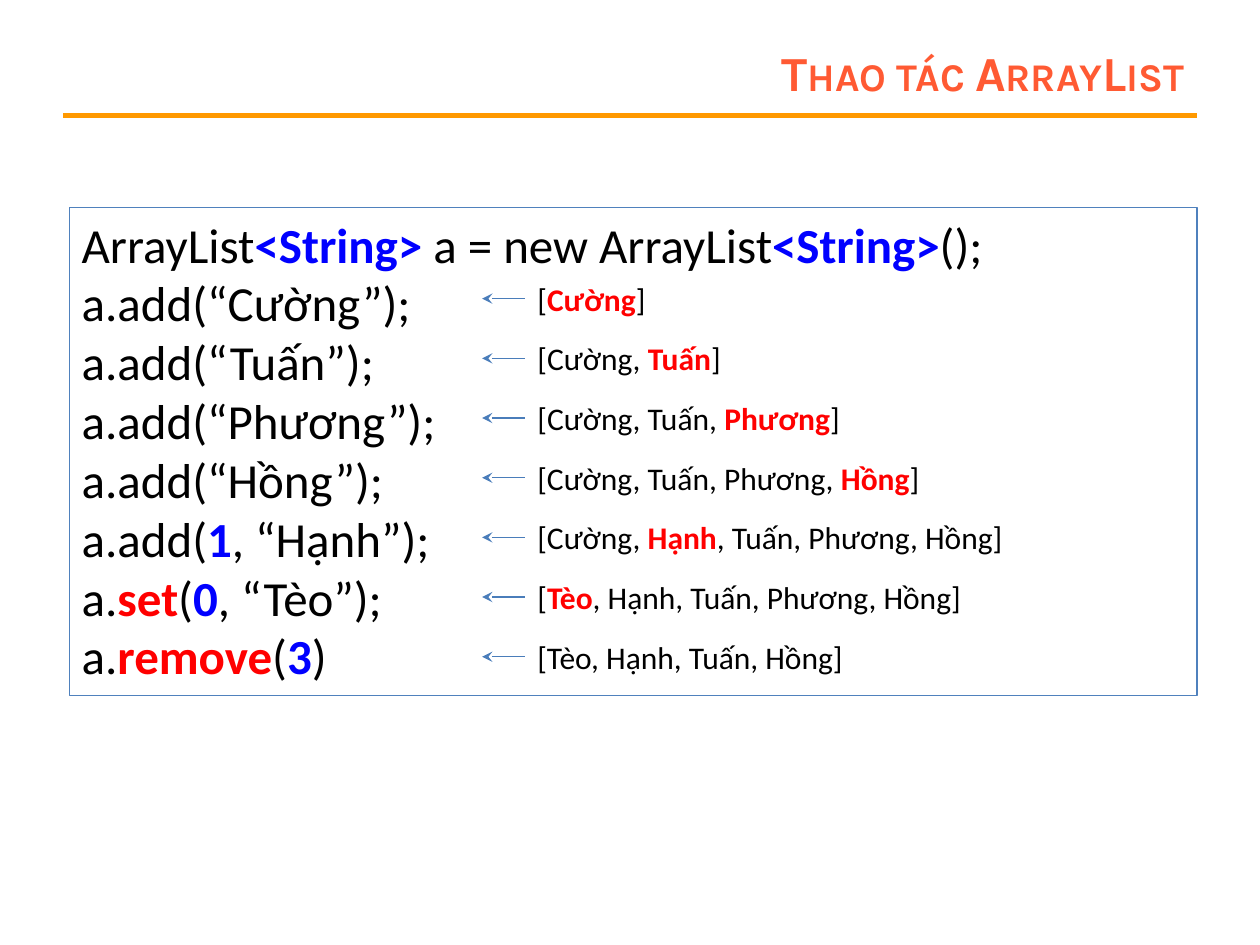
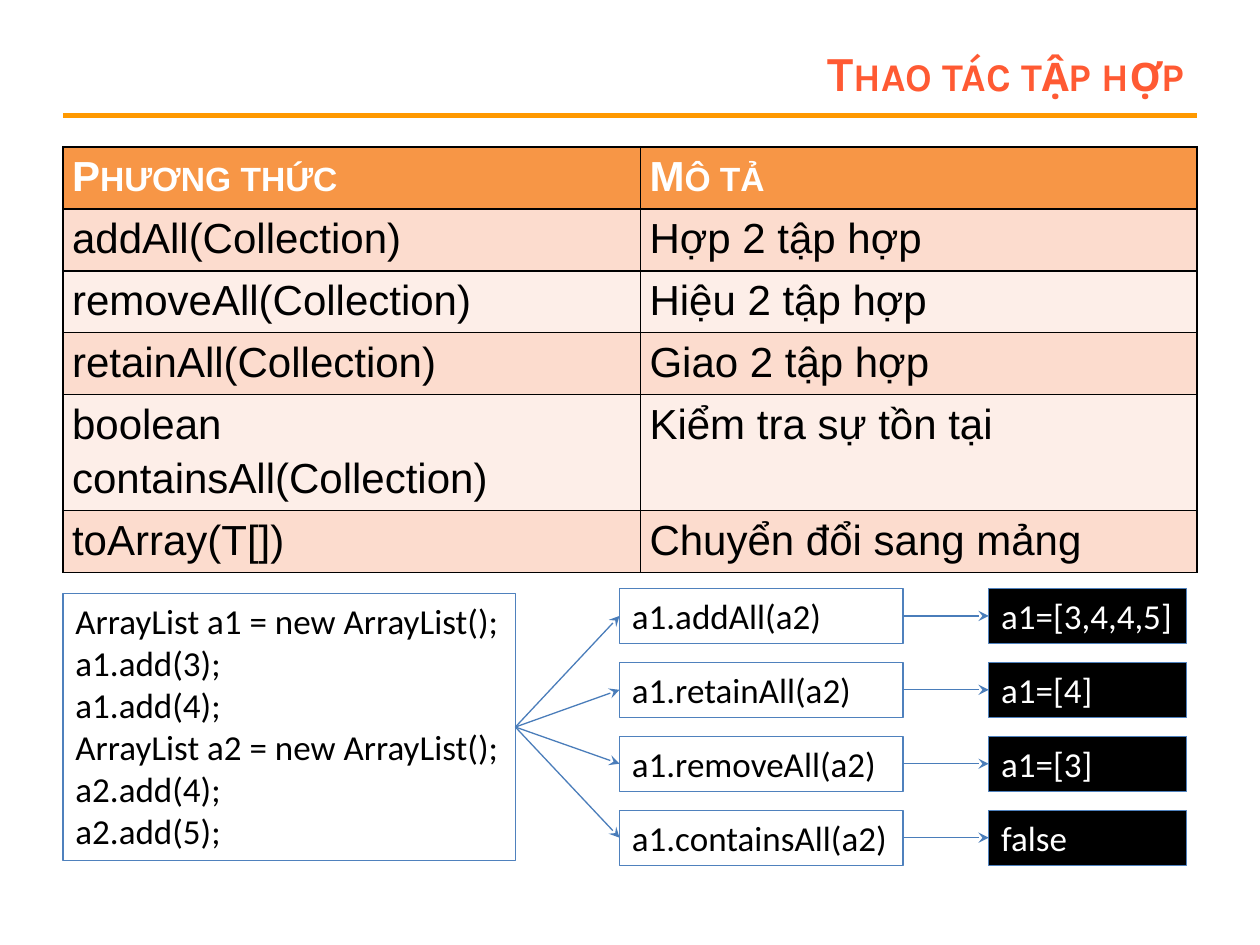
from lxml import etree
from pptx import Presentation
from pptx.dml.color import RGBColor
from pptx.enum.shapes import MSO_CONNECTOR as Wire, MSO_SHAPE as Form
from pptx.enum.text import MSO_ANCHOR as Anchor, PP_ALIGN as Align
from pptx.oxml.ns import qn
from pptx.util import Pt

hue = RGBColor.from_string
BLACK, WHITE, RED, BLUE = "000000", "FFFFFF", "FF0000", "0000FF"
EDGE, ARROW = "4F81BD", "4A7DBA"
TITLE, RULE = "FF5A33", "FF9900"
HEAD, BANDS = "F79646", ("FDEEE8", "FCDCCE")
LEFT, RIGHT = 36, 684


def write(frame, lines, size, ink=BLACK, font="Calibri", caps=False):
    """Each line is a list of pieces: plain text, or (text, colour) in bold."""
    for i, line in enumerate(lines):
        para = frame.paragraphs[0] if i == 0 else frame.add_paragraph()
        para.alignment = Align.LEFT
        for piece in line:
            plain = isinstance(piece, str)
            text, tint = (piece, ink) if plain else piece
            run = para.add_run()
            run.text = text
            run.font.size, run.font.name = Pt(size), font
            run.font.bold = caps or not plain
            run.font.color.rgb = hue(tint)
            if caps:
                run.font._element.set("cap", "small")


def box(page, x, y, w, h, lines, size, ink=BLACK, fill=None):
    """Add a thinly outlined rectangle with text at its top left."""
    rect = page.shapes.add_shape(Form.RECTANGLE, Pt(x), Pt(y), Pt(w), Pt(h))
    rect.shadow.inherit = False
    if fill:
        rect.fill.solid()
        rect.fill.fore_color.rgb = hue(fill)
    else:
        rect.fill.background()
    rect.line.color.rgb, rect.line.width = hue(EDGE), Pt(0.75)
    rect.text_frame.word_wrap = True
    rect.text_frame.vertical_anchor = Anchor.TOP
    write(rect.text_frame, lines, size, ink)
    return rect


deck = Presentation()
deck.slide_width, deck.slide_height = Pt(720), Pt(540)

# Shared title and rule
pages = []
for name in ("Thao tác ArrayList", "Thao tác tập hợp"):
    page = deck.slides.add_slide(deck.slide_layouts[6])
    rule = page.shapes.add_connector(
        Wire.STRAIGHT, Pt(LEFT), Pt(66), Pt(RIGHT), Pt(66))
    rule.line.color.rgb, rule.line.width = hue(RULE), Pt(3)
    title = page.shapes.add_textbox(Pt(162), Pt(21.6), Pt(522), Pt(38.4))
    title.text_frame.word_wrap = True
    title.text_frame.vertical_anchor = Anchor.MIDDLE
    write(title.text_frame, [[name]], 28, TITLE, "Karla", True)
    title.text_frame.paragraphs[0].alignment = Align.RIGHT
    pages.append(page)
first, second = pages
joins = []  # (page, start shape, start side, goal shape or None)

# Slide 1: code with the list after each step
code = [
    ["ArrayList", ("<String> ", BLUE), "a = new ArrayList",
     ("<String>", BLUE), "();"],
    ["a.add(“Cường”);"],
    ["a.add(“Tuấn”);"],
    ["a.add(“Phương”);"],
    ["a.add(“Hồng”);"],
    ["a.add(", ("1", BLUE), ", “Hạnh”);"],
    ["a.", ("set", RED), "(", ("0", BLUE), ", “Tèo”);"],
    ["a.", ("remove", RED), "(", ("3", BLUE), ")"],
]
box(first, 39.6, 118.8, 644.4, 278.7, code, 28)

states = [
    (77, ["[", ("Cường", RED), "]"]),
    (120, ["[Cường, ", ("Tuấn", RED), "]"]),
    (190, ["[Cường, Tuấn, ", ("Phương", RED), "]"]),
    (235, ["[Cường, Tuấn, Phương, ", ("Hồng", RED), "]"]),
    (283, ["[Cường, ", ("Hạnh", RED), ", Tuấn, Phương, Hồng]"]),
    (259, ["[", ("Tèo", RED), ", Hạnh, Tuấn, Phương, Hồng]"]),
    (196, ["[Tèo, Hạnh, Tuấn, Hồng]"]),
]
for i, (wide, line) in enumerate(states):
    note = first.shapes.add_textbox(
        Pt(300), Pt(156.2 + 34.1 * i), Pt(wide), Pt(29))
    note.text_frame.word_wrap = True
    write(note.text_frame, [line], 18)
    joins.append((first, note, 1, None))

# Slide 2: table of methods
rows = [
    ("Phương thức", "Mô tả"),
    ("addAll(Collection)", "Hợp 2 tập hợp"),
    ("removeAll(Collection)", "Hiệu 2 tập hợp"),
    ("retainAll(Collection)", "Giao 2 tập hợp"),
    ("boolean containsAll(Collection)", "Kiểm tra sự tồn tại"),
    ("toArray(T[])", "Chuyển đổi sang mảng"),
]
grid = second.shapes.add_table(
    len(rows), 2, Pt(LEFT), Pt(84), Pt(RIGHT - LEFT), Pt(35.4 * 6)).table
grid.columns[0].width, grid.columns[1].width = Pt(330), Pt(318)
for r, row in enumerate(rows):
    grid.rows[r].height = Pt(35.4)
    for c, text in enumerate(row):
        cell = grid.cell(r, c)
        cell.margin_left = cell.margin_right = Pt(5.2)
        cell.margin_top = cell.margin_bottom = 0
        cell.fill.solid()
        cell.fill.fore_color.rgb = hue(BANDS[r % 2] if r else HEAD)
        write(cell.text_frame, [[text]], 24, BLACK if r else WHITE,
              "Arial", r == 0)
        para = cell.text_frame.paragraphs[0]
        para.alignment, para.line_spacing = Align.JUSTIFY, 1.15
        props = cell._tc.get_or_add_tcPr()
        for i, side in enumerate(("lnL", "lnR", "lnT", "lnB")):
            edge = etree.Element(qn("a:" + side), w=str(Pt(1)))
            paint = etree.SubElement(edge, qn("a:solidFill"))
            etree.SubElement(paint, qn("a:srgbClr"), val=BLACK)
            props.insert(i, edge)

# Slide 2: calls and their results
setup = [
    ["ArrayList a1 = new ArrayList();"],
    ["a1.add(3);"],
    ["a1.add(4);"],
    ["ArrayList a2 = new ArrayList();"],
    ["a2.add(4);"],
    ["a2.add(5);"],
]
source = box(second, LEFT, 339.1, 258.5, 152.7, setup, 20)
calls = [
    ("a1.addAll(a2)", "a1=[3,4,4,5]"),
    ("a1.retainAll(a2)", "a1=[4]"),
    ("a1.removeAll(a2)", "a1=[3]"),
    ("a1.containsAll(a2)", "false"),
]
for i, (call, result) in enumerate(calls):
    y = 336.2 + 42.25 * i
    step = box(second, 354, y, 162, 31.5, [[call]], 20)
    out = box(second, 565, y, 113, 31.5, [[result]], 20, WHITE, BLACK)
    joins += [(second, source, 3, step), (second, step, 3, out)]

# Arrows
for page, start, side, goal in joins:
    y = start.top + start.height // 2
    arrow = page.shapes.add_connector(
        Wire.STRAIGHT, start.left, y, start.left - Pt(24.5), y)
    arrow.begin_connect(start, side)
    if goal:
        arrow.end_connect(goal, 1)
    arrow.line.color.rgb, arrow.line.width = hue(ARROW), Pt(0.75)
    etree.SubElement(arrow.line._get_or_add_ln(), qn("a:tailEnd"),
                     type="stealth")

for page in pages:
    for wire in page.shapes._spTree.findall(qn("p:cxnSp")):
        etree.SubElement(wire.spPr, qn("a:effectLst"))

deck.save("out.pptx")
